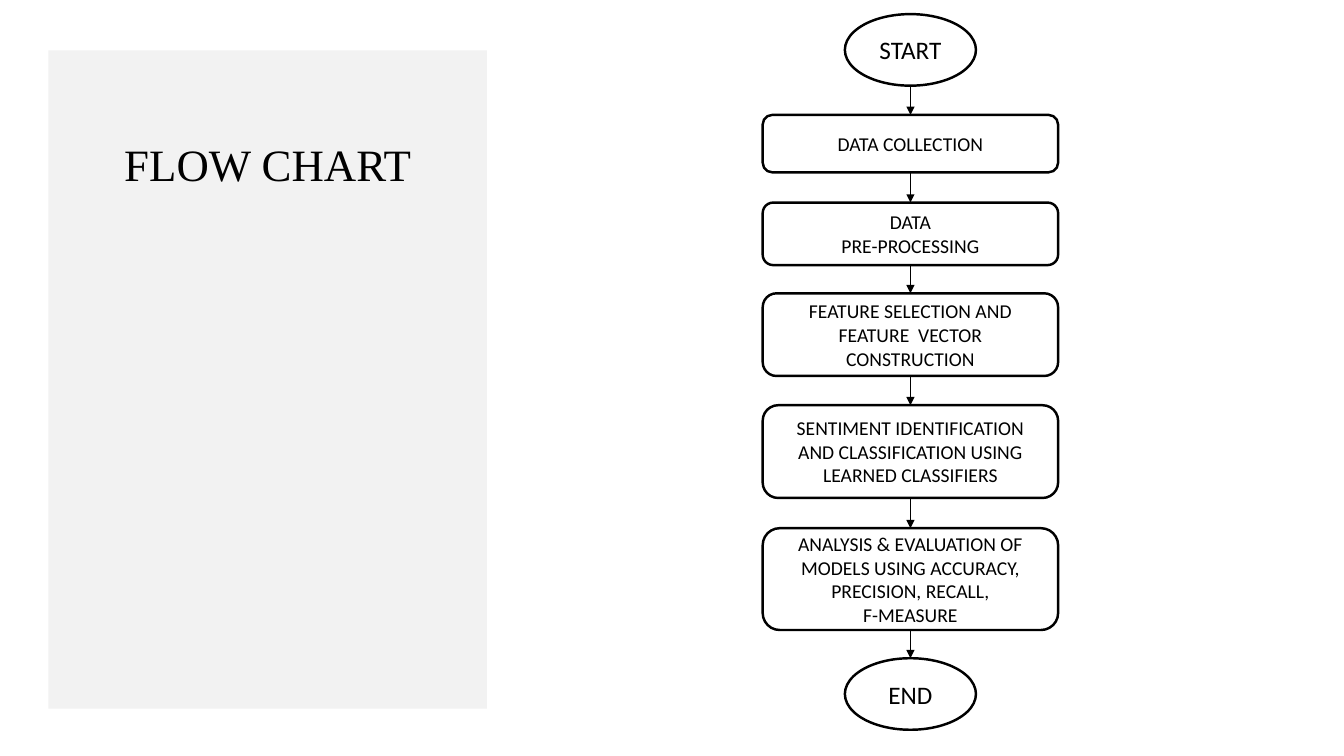
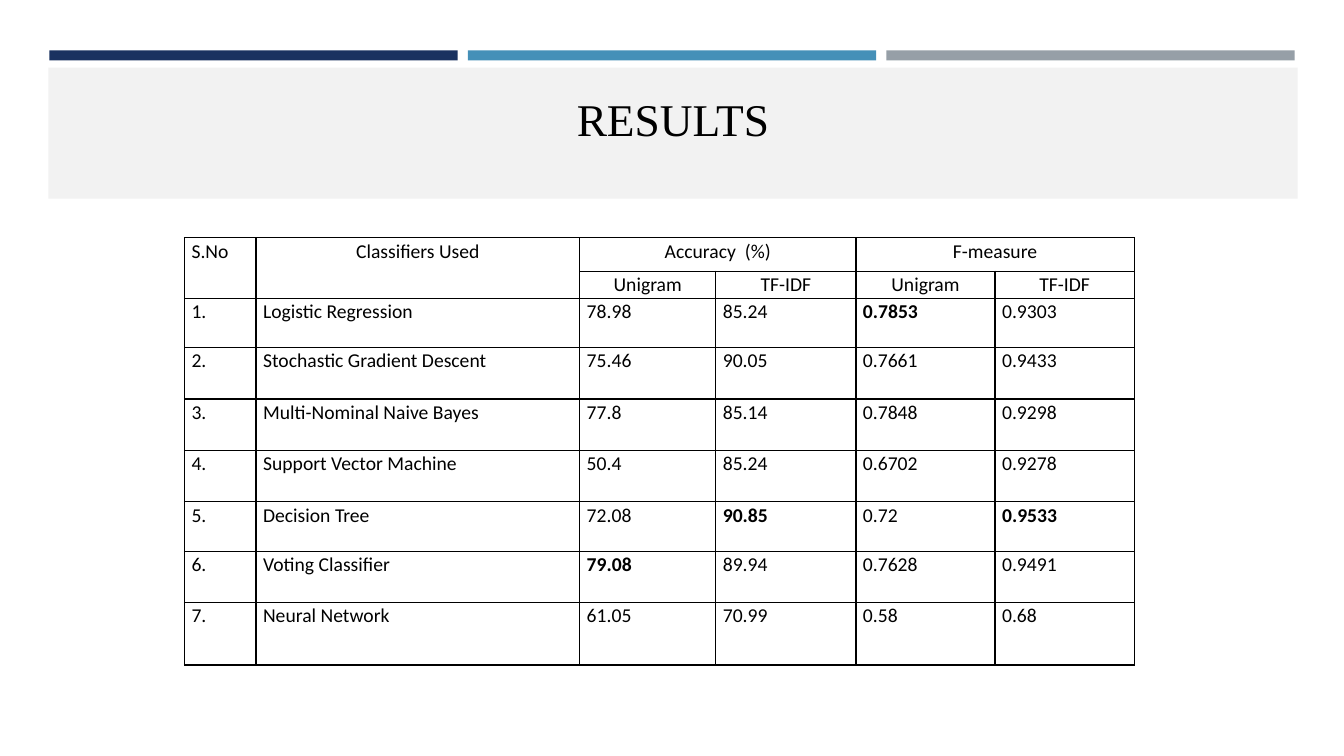
from lxml import etree
from pptx import Presentation
from pptx.dml.color import RGBColor
from pptx.enum.shapes import MSO_CONNECTOR, MSO_SHAPE
from pptx.enum.text import MSO_ANCHOR, PP_ALIGN
from pptx.oxml.ns import qn
from pptx.util import Inches, Pt

RECTANGLE, ROUNDED, OVAL = MSO_SHAPE.RECTANGLE, MSO_SHAPE.ROUNDED_RECTANGLE, MSO_SHAPE.OVAL
STRAIGHT = MSO_CONNECTOR.STRAIGHT
LEFT, CENTER = PP_ALIGN.LEFT, PP_ALIGN.CENTER
TOP, MIDDLE = MSO_ANCHOR.TOP, MSO_ANCHOR.MIDDLE

COLORS = {"ink": "000000", "paper": "FFFFFF", "panel": "F2F2F2",
          "navy": "1A3260", "blue": "4590B8", "gray": "969FA7"}
TITLE_FONT, BODY_FONT = "Times New Roman", "Calibri"
MARGIN_LEFT, MARGIN_TOP = 0.48, 0.5

# Flow chart: kind, top, height, paragraphs
FLOW_CENTER = 9.03
FLOW_STYLE = {OVAL: {"width": 1.3, "size": 18}, ROUNDED: {"width": 2.93, "size": 14}}
FLOW_STEPS = [
    (OVAL, 0.14, 0.71, ["START"]),
    (ROUNDED, 1.14, 0.57, ["DATA COLLECTION"]),
    (ROUNDED, 2.01, 0.62, ["DATA", "PRE-PROCESSING"]),
    (ROUNDED, 2.91, 0.82, ["FEATURE SELECTION AND FEATURE  VECTOR CONSTRUCTION"]),
    (ROUNDED, 4.02, 0.92,
     ["SENTIMENT IDENTIFICATION AND CLASSIFICATION USING LEARNED CLASSIFIERS"]),
    (ROUNDED, 5.24, 1.01,
     ["ANALYSIS & EVALUATION OF MODELS USING ACCURACY, PRECISION, RECALL,", "F-MEASURE"]),
    (OVAL, 6.53, 0.71, ["END"]),
]

# Results table: header cells as row, column, row span, column span, text, alignment
HEADERS = [
    (0, 0, 2, 1, "S.No", LEFT),
    (0, 1, 2, 1, "Classifiers Used", CENTER),
    (0, 2, 1, 2, "Accuracy  (%)", CENTER),
    (0, 4, 1, 2, "F-measure", CENTER),
    (1, 2, 1, 1, "Unigram", CENTER),
    (1, 3, 1, 1, "TF-IDF", CENTER),
    (1, 4, 1, 1, "Unigram", CENTER),
    (1, 5, 1, 1, "TF-IDF", CENTER),
]
RESULTS = [
    ("Logistic Regression", 78.98, 85.24, 0.7853, 0.9303),
    ("Stochastic Gradient Descent", 75.46, 90.05, 0.7661, 0.9433),
    ("Multi-Nominal Naive Bayes", 77.8, 85.14, 0.7848, 0.9298),
    ("Support Vector Machine", 50.4, 85.24, 0.6702, 0.9278),
    ("Decision Tree", 72.08, 90.85, 0.72, 0.9533),
    ("Voting Classifier", 79.08, 89.94, 0.7628, 0.9491),
    ("Neural Network", 61.05, 70.99, 0.58, 0.68),
]
COLUMN_WIDTHS = [0.71, 3.21, 1.35, 1.39, 1.38, 1.38]
ROW_HEIGHTS = [0.33, 0.27, 0.49, 0.51, 0.51, 0.51, 0.49, 0.51, 0.62]


def rgb(name):
    return RGBColor.from_string(COLORS[name])


def write_text(frame, paragraphs, size=14, font=BODY_FONT, bold=False, align=CENTER,
               line_spacing=None, space_after=None):
    for index, text in enumerate(paragraphs):
        paragraph = frame.add_paragraph() if index else frame.paragraphs[0]
        paragraph.alignment = align
        paragraph.line_spacing = line_spacing
        paragraph.space_after = space_after
        run = paragraph.add_run()
        run.text = text
        run.font.size, run.font.name, run.font.bold = Pt(size), font, bold
        run.font.color.rgb = rgb("ink")


def add_box(slide, kind, left, top, width, height, fill, outline=None):
    shape = slide.shapes.add_shape(
        kind, Inches(left), Inches(top), Inches(width), Inches(height))
    shape.shadow.inherit = False
    shape.fill.solid()
    shape.fill.fore_color.rgb = rgb(fill)
    if outline:
        shape.line.color.rgb = rgb(outline)
        shape.line.width = Pt(1.75)
    else:
        shape.line.fill.background()
    shape.text_frame.word_wrap = True
    return shape


def add_title_panel(slide, text, top, width, height, text_offset, size):
    panel = add_box(slide, RECTANGLE, MARGIN_LEFT, top, width, height, "panel")
    panel.text_frame.vertical_anchor = TOP
    panel.text_frame.margin_top = Inches(text_offset)
    write_text(panel.text_frame, [text], size=size, font=TITLE_FONT)


def add_arrow(slide, start, end):
    center = Inches(FLOW_CENTER)
    arrow = slide.shapes.add_connector(
        STRAIGHT, center, start.top + start.height, center, end.top)
    if start.auto_shape_type == ROUNDED:
        arrow.begin_connect(start, 2)
    arrow.end_connect(end, 0)
    arrow.line.color.rgb = rgb("ink")
    arrow.line.width = Pt(1)
    etree.SubElement(arrow.line._get_or_add_ln(), qn("a:tailEnd"), type="triangle")
    etree.SubElement(arrow._element.spPr, qn("a:effectLst"))


def add_borders(cell):
    properties = cell._tc.get_or_add_tcPr()
    for side in ("a:lnL", "a:lnR", "a:lnT", "a:lnB"):
        line = etree.SubElement(properties, qn(side), w=str(Pt(1)))
        fill = etree.SubElement(line, qn("a:solidFill"))
        etree.SubElement(fill, qn("a:srgbClr"), val=COLORS["ink"])


def build_flow_chart(slide):
    add_title_panel(slide, "FLOW CHART", MARGIN_TOP, 4.35, 6.53, 0.86, 32)
    steps = []
    for kind, top, height, paragraphs in FLOW_STEPS:
        style = FLOW_STYLE[kind]
        step = add_box(slide, kind, FLOW_CENTER - style["width"] / 2, top,
                       style["width"], height, "paper", "ink")
        step.text_frame.vertical_anchor = MIDDLE
        write_text(step.text_frame, paragraphs, size=style["size"])
        steps.append(step)
    for start, end in zip(steps, steps[1:]):
        add_arrow(slide, start, end)


def build_results(slide):
    # Accent bars and title
    bar_width, bar_gap = 4.05, 0.1
    for index, color in enumerate(("navy", "blue", "gray")):
        left = MARGIN_LEFT + 0.01 + index * (bar_width + bar_gap)
        add_box(slide, RECTANGLE, left, MARGIN_TOP, bar_width, 0.1, color)
    add_title_panel(slide, "RESULTS", 0.67, 12.39, 1.3, 0.23, 32.4)

    # Table grid
    table = slide.shapes.add_table(
        len(ROW_HEIGHTS), len(COLUMN_WIDTHS), Inches(1.83), Inches(2.36),
        Inches(sum(COLUMN_WIDTHS)), Inches(sum(ROW_HEIGHTS))).table
    table.first_row = table.horz_banding = False
    for column, width in zip(table.columns, COLUMN_WIDTHS):
        column.width = Inches(width)
    for row, height in zip(table.rows, ROW_HEIGHTS):
        row.height = Inches(height)
    for cell in table.iter_cells():
        add_borders(cell)
        cell.fill.background()
        cell.margin_left = cell.margin_right = Inches(0.07)
        cell.margin_top = cell.margin_bottom = 0

    def fill_cell(row, column, text, **text_format):
        write_text(table.cell(row, column).text_frame, [text],
                   line_spacing=1.07, space_after=Pt(8), **text_format)

    # Headers
    for row, column, row_span, column_span, text, align in HEADERS:
        if row_span * column_span > 1:
            last = table.cell(row + row_span - 1, column + column_span - 1)
            table.cell(row, column).merge(last)
        fill_cell(row, column, text, align=align)

    # Scores, with the best of each column in bold
    best = [max(scores) for scores in list(zip(*RESULTS))[1:]]
    for number, (classifier, *scores) in enumerate(RESULTS, start=1):
        row = number + 1
        fill_cell(row, 0, f"{number}.", align=LEFT)
        fill_cell(row, 1, classifier, align=LEFT)
        for column, (score, top_score) in enumerate(zip(scores, best), start=2):
            fill_cell(row, column, str(score), align=LEFT, bold=score == top_score)


def main():
    presentation = Presentation()
    presentation.slide_width, presentation.slide_height = Inches(13.33), Inches(7.5)
    blank = presentation.slide_layouts[6]
    for build in (build_flow_chart, build_results):
        build(presentation.slides.add_slide(blank))
    presentation.save("out.pptx")


if __name__ == "__main__":
    main()
